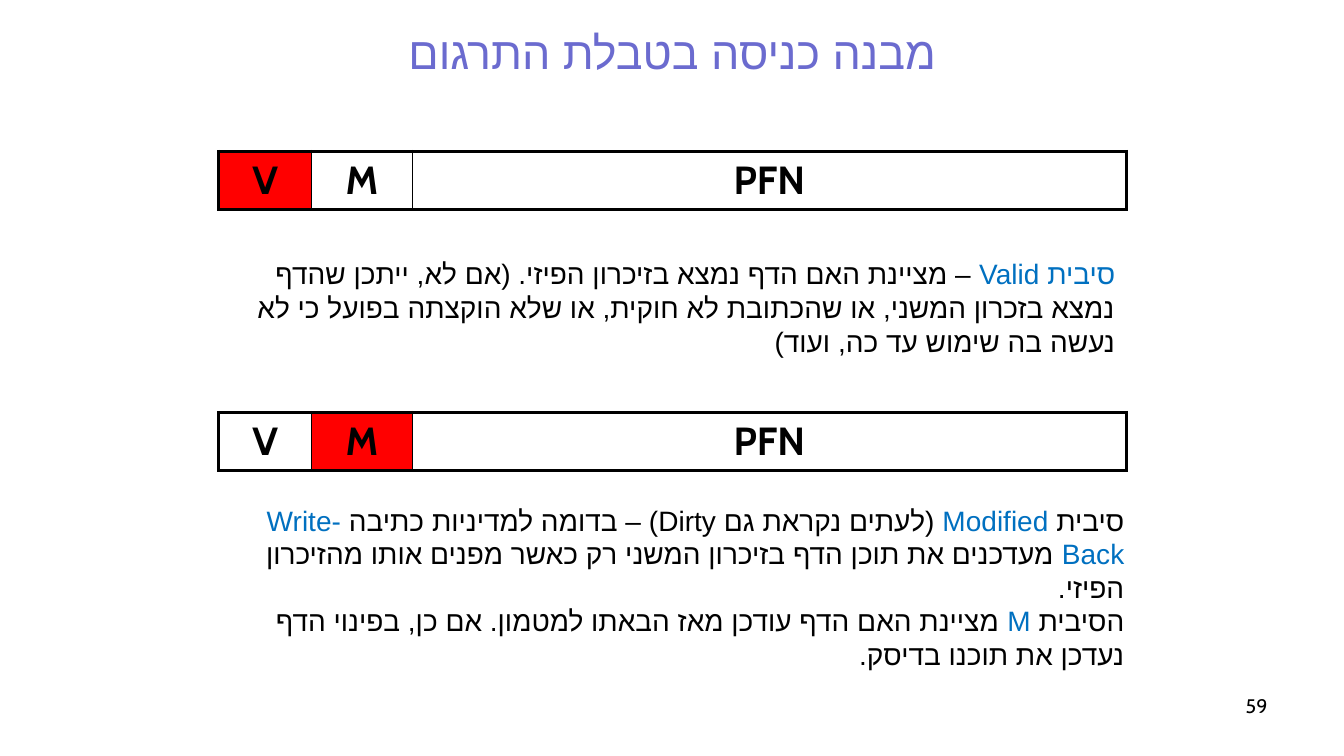
from lxml import etree
from pptx import Presentation
from pptx.dml.color import RGBColor
from pptx.enum.text import MSO_ANCHOR, MSO_AUTO_SIZE, PP_ALIGN
from pptx.oxml import parse_xml
from pptx.oxml.ns import nsdecls, qn
from pptx.util import Inches, Pt

COLORS = {"title": "6B6BCF", "text": "000000", "term": "0070C0",
          "marked": "FF0000", "plain": "FFFFFF"}
HEBREW_FONT = "Arial"


def write_paragraph(paragraph, runs, align, rtl=True, **font_format):
    """Fill a paragraph with (text, colour key) runs."""
    paragraph.alignment = align
    if rtl:
        paragraph._p.get_or_add_pPr().set("rtl", "1")
    for text, color in runs:
        run = paragraph.add_run()
        run.text = text
        for attribute, value in font_format.items():
            setattr(run.font, attribute, value)
        run.font.color.rgb = RGBColor.from_string(COLORS[color])
        complex_script = etree.SubElement(run._r.get_or_add_rPr(), qn("a:cs"))
        complex_script.set("typeface", HEBREW_FONT)


def format_frame(frame, anchor):
    """Wrap the text at a fixed box size."""
    settings = {"word_wrap": True, "auto_size": MSO_AUTO_SIZE.NONE,
                "vertical_anchor": anchor}
    for attribute, value in settings.items():
        setattr(frame, attribute, value)


prs = Presentation()
prs.slide_width, prs.slide_height = Inches(13.33), Inches(7.5)
slide = prs.slides.add_slide(prs.slide_layouts[5])

# Title
title = slide.shapes.title
title.left, title.top = Inches(2.17), Inches(0.25)
title.width, title.height = Inches(9), Inches(0.53)
format_frame(title.text_frame, MSO_ANCHOR.MIDDLE)
write_paragraph(title.text_frame.paragraphs[0], [("מבנה כניסה בטבלת התרגום", "title")],
                PP_ALIGN.CENTER, size=Pt(32), name="Cabin", bold=False)

# Page table entries, each with one field marked
fields = [("V", 0.92), ("M", 1), ("PFN", 7.08)]
OUTER, INNER = 2.25, 1
for entry_top, marked_field in [(1.5, "V"), (4.09, "M")]:
    entry = slide.shapes.add_table(1, len(fields), Inches(2.17), Inches(entry_top),
                                   Inches(9), Inches(0.58)).table
    entry.first_row = entry.horz_banding = False
    for index, (field, width) in enumerate(fields):
        entry.columns[index].width = Inches(width)
        cell = entry.cell(0, index)
        cell.vertical_anchor = MSO_ANCHOR.MIDDLE
        borders = {"lnL": OUTER if index == 0 else INNER,
                   "lnR": OUTER if index == len(fields) - 1 else INNER,
                   "lnT": OUTER, "lnB": OUTER}
        for side, points in borders.items():
            cell._tc.get_or_add_tcPr().append(parse_xml(
                f'<a:{side} {nsdecls("a")} w="{Pt(points)}"><a:solidFill>'
                f'<a:srgbClr val="{COLORS["text"]}"/></a:solidFill></a:{side}>'))
        cell.fill.solid()
        fill_color = COLORS["marked" if field == marked_field else "plain"]
        cell.fill.fore_color.rgb = RGBColor.from_string(fill_color)
        write_paragraph(cell.text_frame.paragraphs[0], [(field, "text")],
                        PP_ALIGN.CENTER, size=Pt(28), name="Cabin", bold=True)

# Explanations of the two bits
valid_bit = [
    [("סיבית Valid ", "term"),
     ("– מציינת האם הדף נמצא בזיכרון הפיזי. (אם לא, ייתכן שהדף נמצא בזכרון המשני, "
      "או שהכתובת לא חוקית, או שלא הוקצתה בפועל כי לא נעשה בה שימוש עד כה, ועוד)", "text")],
]
modified_bit = [
    [("סיבית ", "text"), ("Modified ", "term"),
     ("(לעתים נקראת גם Dirty) – בדומה למדיניות כתיבה ", "text"), ("Write-Back", "term"),
     (" מעדכנים את תוכן הדף בזיכרון המשני רק כאשר מפנים אותו מהזיכרון הפיזי. ", "text")],
    [("הסיבית ", "text"), ("M", "term"),
     (" מציינת האם הדף עודכן מאז הבאתו למטמון. אם כן, בפינוי הדף נעדכן את תוכנו בדיסק.",
      "text")],
]
explanations = [(valid_bit, 2.24, 2.5, 8.92, MSO_ANCHOR.TOP),
                (modified_bit, 2.17, 5.1, 9.08, MSO_ANCHOR.MIDDLE)]
for paragraphs, left, top, width, anchor in explanations:
    frame = slide.shapes.add_textbox(Inches(left), Inches(top),
                                     Inches(width), Inches(1.45)).text_frame
    format_frame(frame, anchor)
    for index, runs in enumerate(paragraphs):
        paragraph = frame.add_paragraph() if index else frame.paragraphs[0]
        write_paragraph(paragraph, runs, PP_ALIGN.RIGHT, size=Pt(20), name="Arial")

# Page number
page_number = slide.shapes.add_textbox(Inches(9.56), Inches(6.83),
                                       Inches(3.11), Inches(0.52)).text_frame
format_frame(page_number, MSO_ANCHOR.TOP)
write_paragraph(page_number.paragraphs[0], [("59", "text")], PP_ALIGN.RIGHT,
                rtl=False, size=Pt(14), name="Cabin")

prs.save("out.pptx")
